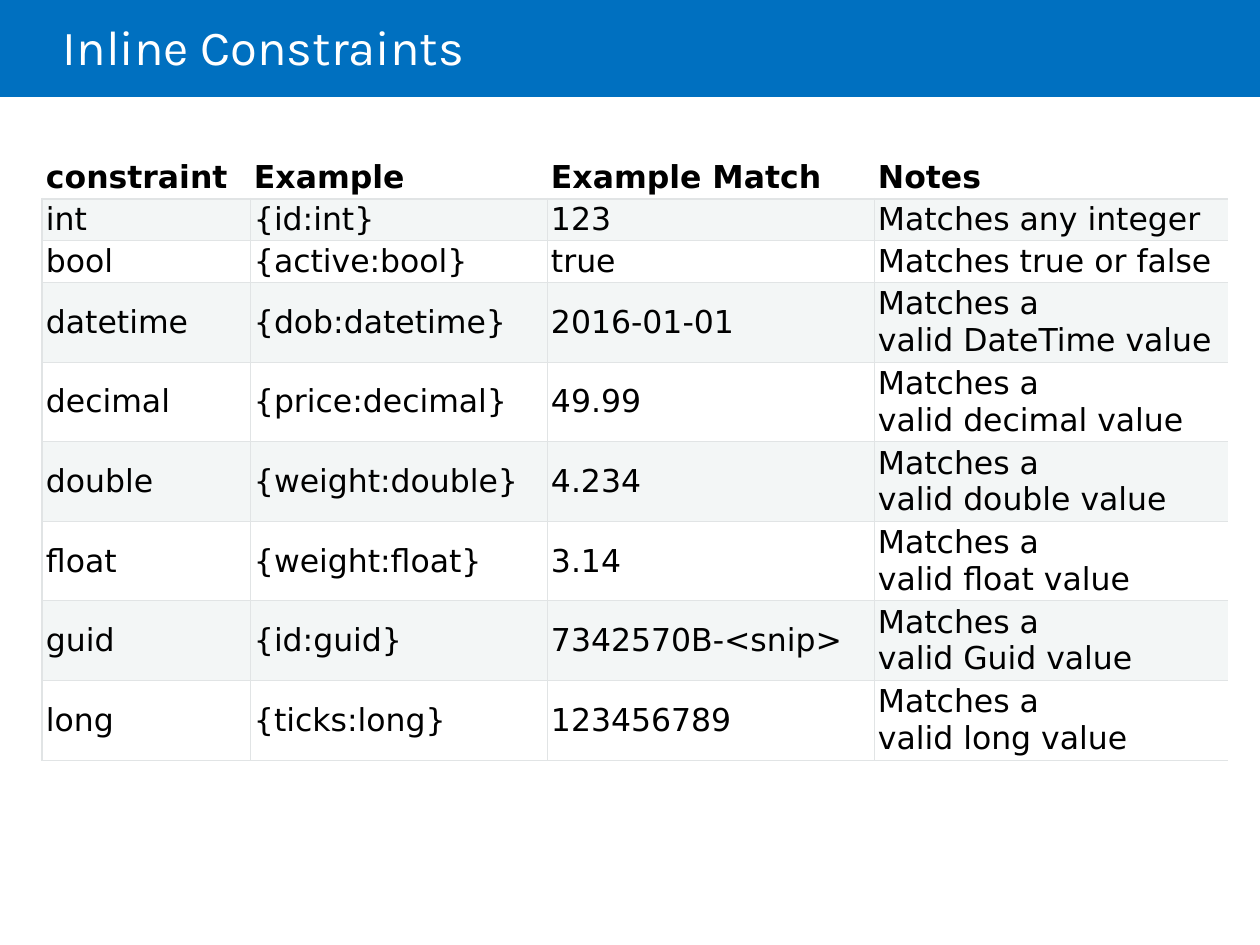
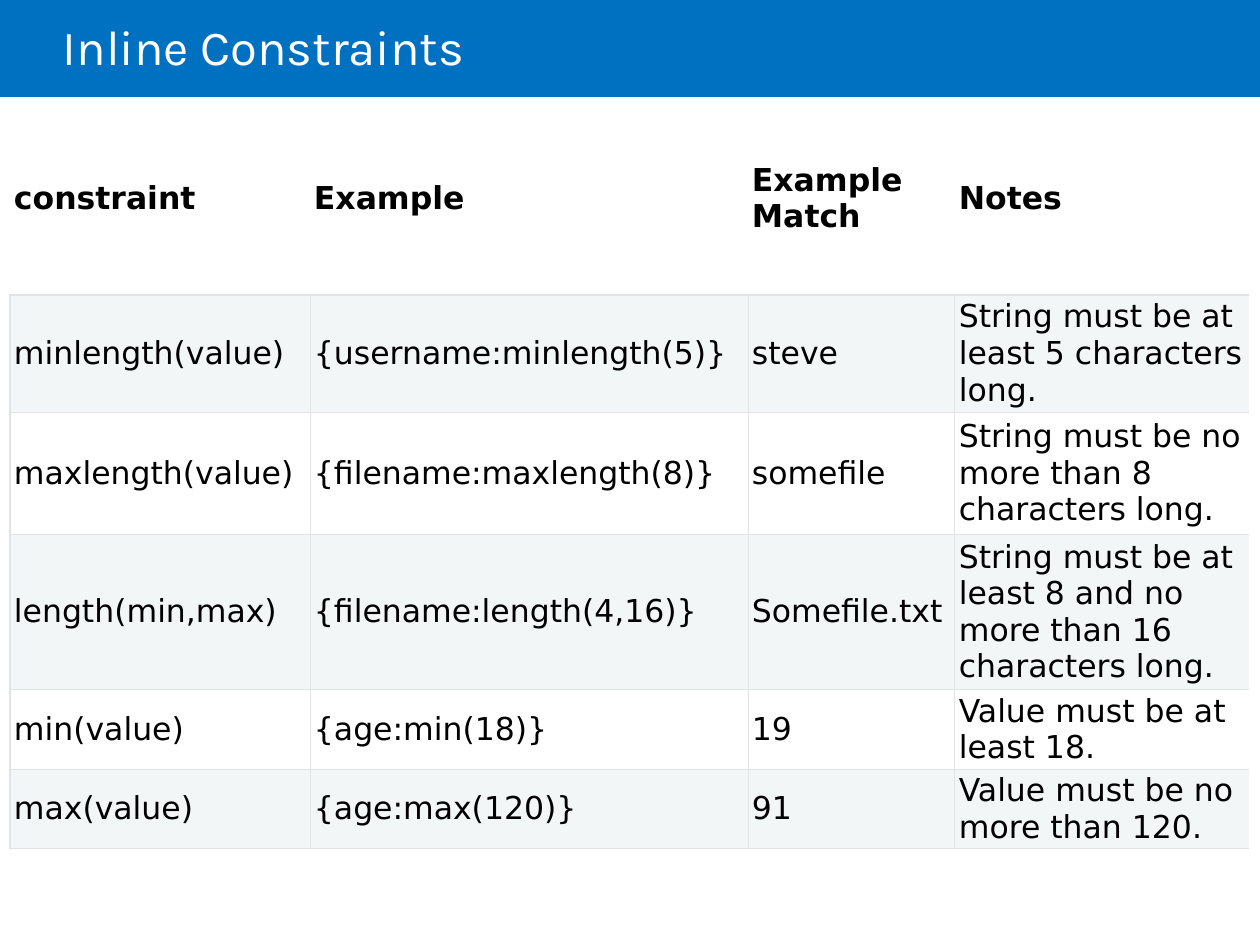
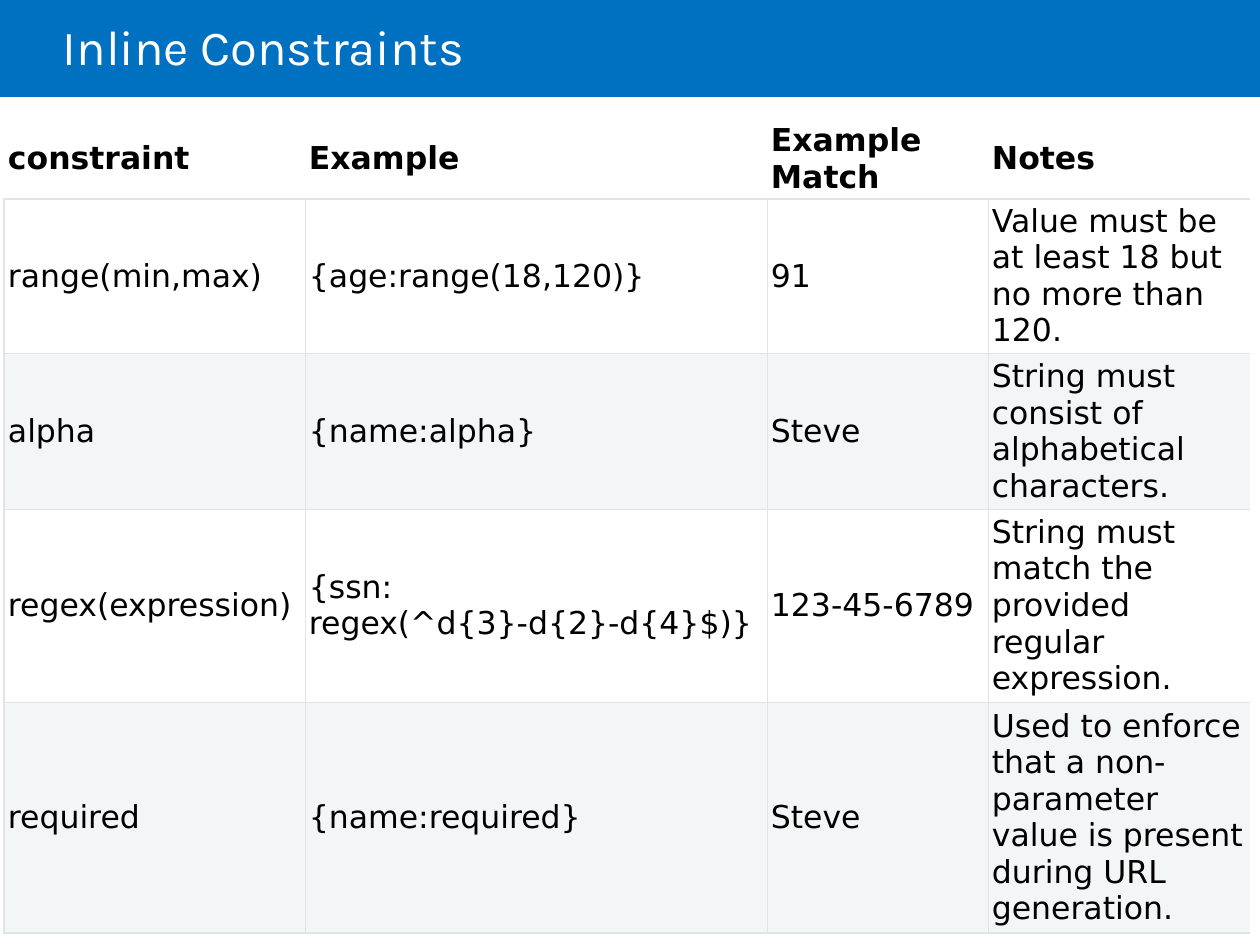
"""Build three slides of inline route constraint tables."""
import pptx
import pptx.dml.color
import pptx.enum.shapes
import pptx.enum.text
import pptx.oxml
import pptx.oxml.ns
import pptx.util

SCALE = 914400 / 126
COLORS = {"band": "0070C0", "title": "FFFFFF", "text": "000000", "stripe": "F3F6F6", "border": "E1E4E5"}
NO_GRID_STYLE = "{2D5ABB26-0587-4C30-8999-92F81FD0307C}"
HEADER = ("constraint", "Example", "Example Match", "Notes")
MIDDLE = pptx.enum.text.MSO_ANCHOR.MIDDLE

SLIDES = [
    {
        "left": 42, "top": 157, "stripe": 1, "bottom": 0.6,
        "cols": [208, 297, 327, 354],
        "rows": [41] * 3 + [77] * 6,
        "cells": [
            ("int", "{id:int}", "123", "Matches any integer"),
            ("bool", "{active:bool}", "true", "Matches~true~or~false"),
            ("datetime", "{dob:datetime}", "2016-01-01", "Matches a valid~DateTime~value"),
            ("decimal", "{price:decimal}", "49.99", "Matches a valid~decimal~value"),
            ("double", "{weight:double}", "4.234", "Matches a valid~double~value"),
            ("float", "{weight:float}", "3.14", "Matches a valid~float~value"),
            ("guid", "{id:guid}", "7342570B-<snip>", "Matches a valid~Guid~value"),
            ("long", "{ticks:long}", "123456789", "Matches a valid~long~value"),
        ],
    },
    {
        "left": 10, "top": 102, "stripe": 1, "bottom": 0.6,
        "cols": [300, 438, 207, 294],
        "rows": [193, 114, 122, 151, 77, 77],
        "cells": [
            ("minlength(value)", "{username:minlength(5)}", "steve",
             "String must be at least 5 characters long."),
            ("maxlength(value)", "{filename:maxlength(8)}", "somefile",
             "String must be no more than 8 characters long."),
            ("length(min,max)", "{filename:length(4,16)}", "Somefile.txt",
             "String must be at least 8 and no more than 16 characters long."),
            ("min(value)", "{age:min(18)}", "19", "Value must be at least 18."),
            ("max(value)", "{age:max(120)}", "91", "Value must be no more than 120."),
        ],
    },
    {
        "left": 4, "top": 119, "stripe": 0, "bottom": 1,
        "cols": [301, 462, 221, 262],
        "rows": [77, 151, 150, 187, 224],
        "cells": [
            ("range(min,max)", "{age:range(18,120)}", "91",
             "Value must be at least 18 but no more than 120."),
            ("alpha", "{name:alpha}", "Steve", "String must consist of alphabetical characters."),
            ("regex(expression)", "{ssn:\nregex(^d{3}-d{2}-d{4}$)}", "123-45-6789",
             "String must match the provided regular expression."),
            ("required", "{name:required}", "Steve",
             "Used to enforce that a non-parameter value is present during URL generation."),
        ],
    },
]


def px(n):
    return pptx.util.Emu(round(n * SCALE))


def rgb(name):
    return pptx.dml.color.RGBColor.from_string(COLORS[name])


prs = pptx.Presentation()
prs.slide_width, prs.slide_height = px(1260), px(945)

for data in SLIDES:
    s = prs.slides.add_slide(prs.slide_layouts[6])

    band = s.shapes.add_shape(pptx.enum.shapes.MSO_SHAPE.RECTANGLE, 0, 0, px(1260), px(97))
    band.shadow.inherit = False
    band.fill.solid()
    band.fill.fore_color.rgb = rgb("band")
    band.line.fill.background()

    tf = s.shapes.add_textbox(px(63), 0, px(1071), px(102)).text_frame
    tf.word_wrap = True
    tf.vertical_anchor = MIDDLE
    tf.margin_left, tf.margin_right = 0, px(13)
    p = tf.paragraphs[0]
    p.text = "Inline Constraints"
    p.line_spacing = 0.85
    p.font.name, p.font.size = "Karla", pptx.util.Pt(28)
    p.font.color.rgb = rgb("title")

    rows = [HEADER] + data["cells"]
    table = s.shapes.add_table(
        len(rows), len(HEADER), px(data["left"]), px(data["top"]),
        px(sum(data["cols"])), px(sum(data["rows"]))).table
    table.horz_banding = False
    table._tbl.tblPr[0].text = NO_GRID_STYLE
    for col, width in zip(table.columns, data["cols"]):
        col.width = px(width)
    for row, height in zip(table.rows, data["rows"]):
        row.height = px(height)

    for i, texts in enumerate(rows):
        for j, text in enumerate(texts):
            cell = table.cell(i, j)
            cell.vertical_anchor = MIDDLE
            cell.margin_left = cell.margin_right = px(4)
            cell.margin_top = cell.margin_bottom = px(2)
            cell.text = text.replace("~", chr(160))
            for p in cell.text_frame.paragraphs:
                p.font.name, p.font.size = "DejaVu Sans", pptx.util.Pt(18)
                p.font.bold = i == 0
                p.font.color.rgb = rgb("text")

            if i == 0:
                borders = {"B": 1.2}
            else:
                borders = {"L": 1 if j == 0 else 0.6}
                if j < len(HEADER) - 1:
                    borders["R"] = 0.6
                borders["T"] = 1.2 if i == 1 else 0.6
                borders["B"] = data["bottom"] if i == len(rows) - 1 else 0.6
            for side, width in borders.items():
                cell._tc.get_or_add_tcPr().append(pptx.oxml.parse_xml(
                    f'<a:ln{side} {pptx.oxml.ns.nsdecls("a")} w="{pptx.util.Pt(width)}">'
                    f'<a:solidFill><a:srgbClr val="{COLORS["border"]}"/></a:solidFill></a:ln{side}>'))

            if i > 0 and i % 2 == data["stripe"]:
                cell.fill.solid()
                cell.fill.fore_color.rgb = rgb("stripe")
            else:
                cell.fill.background()

prs.save("out.pptx")
